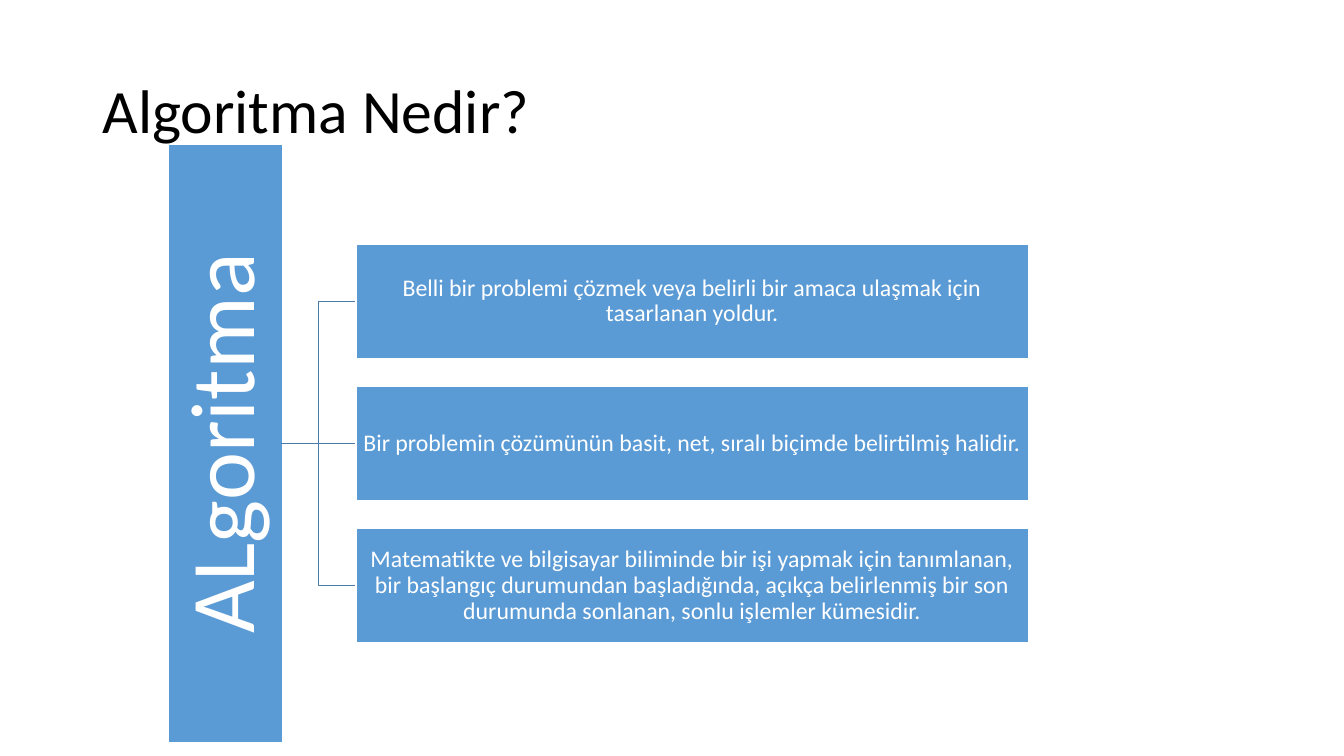
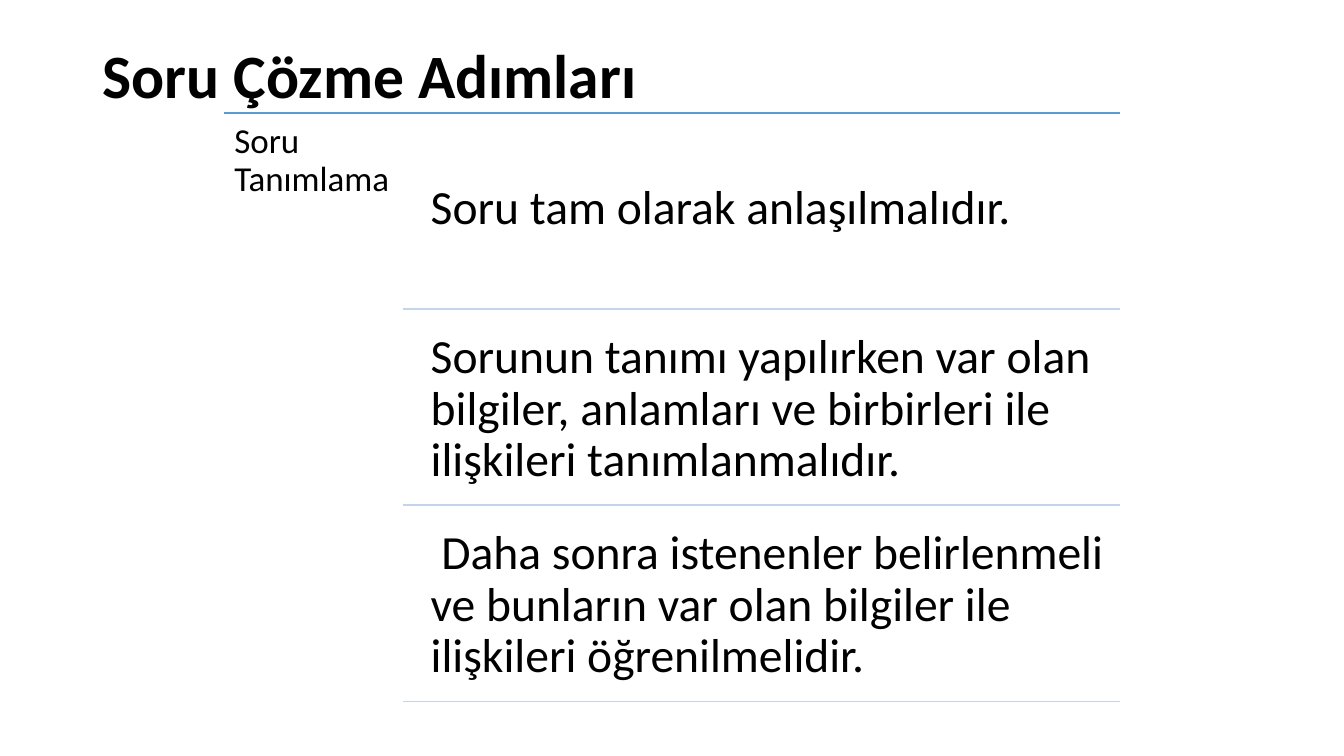
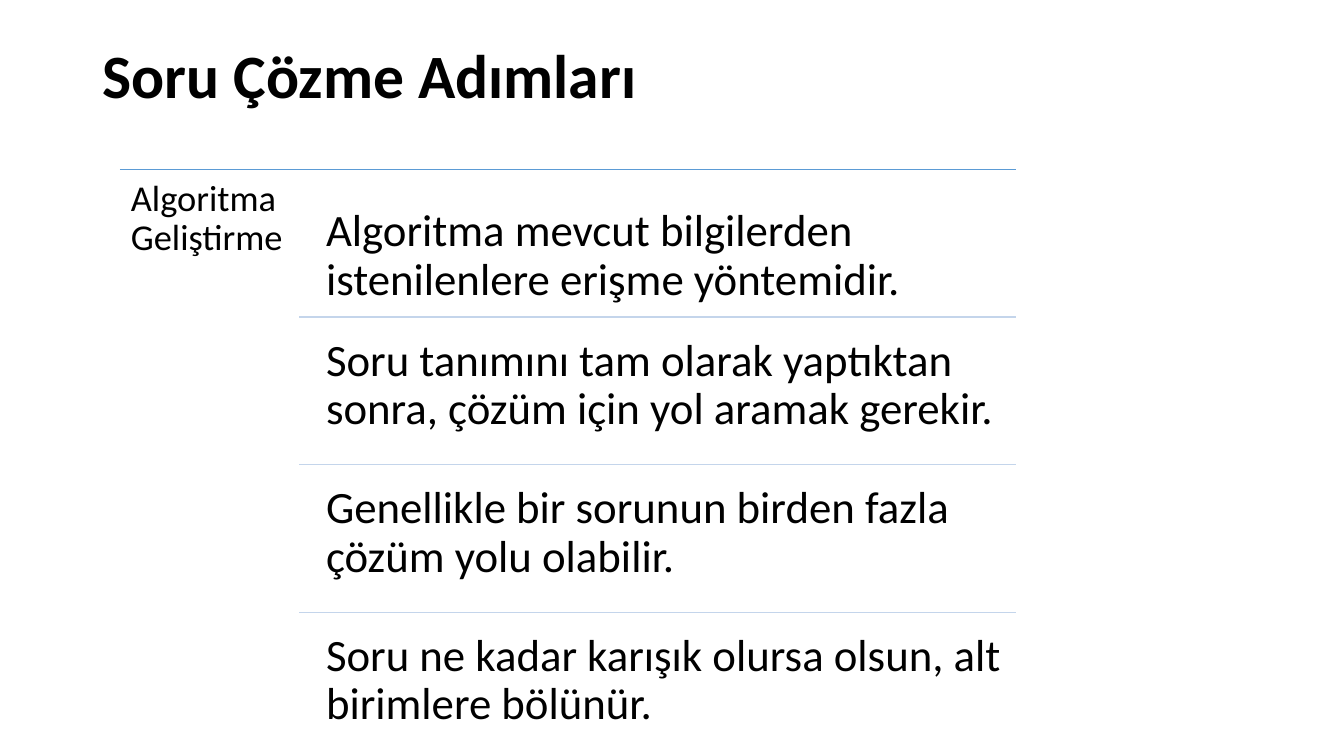
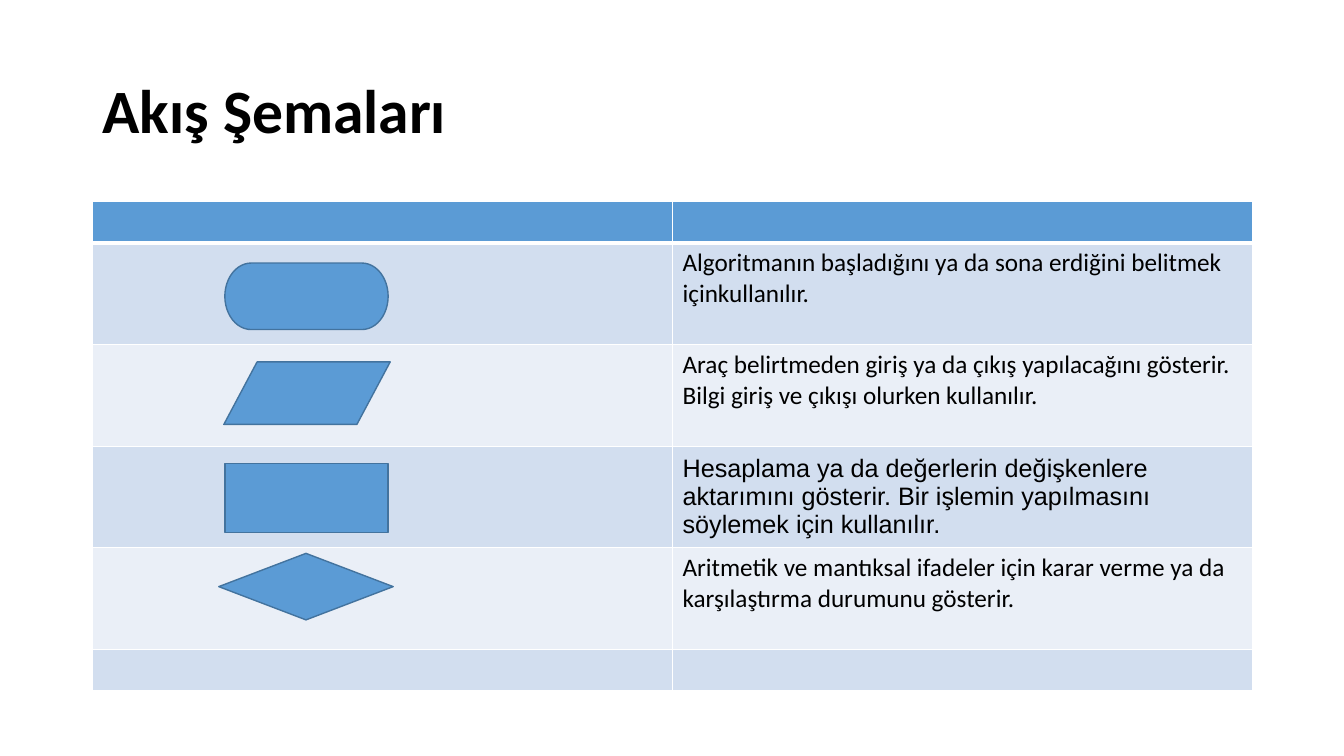
from lxml import etree
from pptx import Presentation
from pptx.dml.color import RGBColor
from pptx.enum.shapes import MSO_CONNECTOR as CONN, MSO_SHAPE as SHAPE
from pptx.enum.text import MSO_ANCHOR as ANCHOR, PP_ALIGN as ALIGN
from pptx.oxml.ns import qn
from pptx.util import Inches, Pt

COLORS = {
    "text": "000000",
    "white": "FFFFFF",
    "accent": "5B9BD5",
    "branch": "497CAB",
    "rule": "C4D5EB",
    "outline": "43739E",
    "band_dark": "D2DEEF",
    "band_light": "EAEFF7",
}
FONT = "Calibri"


def rgb(name):
    return RGBColor.from_string(COLORS[name])


class Deck:
    def __init__(self):
        self.prs = Presentation()
        self.prs.slide_width = Inches(13.33)
        self.prs.slide_height = Inches(7.5)
        self.s = None

    def slide(self, title, bold=True, anchor=ANCHOR.MIDDLE):
        self.s = self.prs.slides.add_slide(self.prs.slide_layouts[6])
        tf = self.text(0.92, 0.4, 11.5, 1.45, title, 44)
        tf.vertical_anchor = anchor
        tf.paragraphs[0].font.bold = bold

    def set_text(self, tf, text, size, color="text", font=FONT, spacing=0.9):
        p = tf.paragraphs[0]
        p.text = text
        p.line_spacing = spacing
        p.font.size = Pt(size)
        p.font.name = font
        p.font.color.rgb = rgb(color)
        return p

    def inset(self, tf, margin):
        tf.margin_left = tf.margin_right = margin
        tf.margin_top = tf.margin_bottom = margin

    def text(self, x, y, w, h, text, size):
        sp = self.s.shapes.add_textbox(Inches(x), Inches(y), Inches(w), Inches(h))
        tf = sp.text_frame
        tf.word_wrap = True
        self.set_text(tf, text, size)
        return tf

    def shape(self, kind, x, y, w, h, line="outline"):
        sp = self.s.shapes.add_shape(kind, Inches(x), Inches(y), Inches(w), Inches(h))
        sp.shadow.inherit = False
        sp.fill.solid()
        sp.fill.fore_color.rgb = rgb("accent")
        sp.line.color.rgb = rgb(line)
        sp.line.width = Pt(1)
        return sp

    def box(self, x, y, w, h, text, size, margin, rotation=0):
        sp = self.shape(SHAPE.RECTANGLE, x, y, w, h, "white")
        sp.rotation = rotation
        tf = sp.text_frame
        tf.word_wrap = True
        tf.vertical_anchor = ANCHOR.MIDDLE
        self.inset(tf, Inches(margin))
        self.set_text(tf, text, size, "white").alignment = ALIGN.CENTER

    def line(self, x1, y1, x2, y2, color, kind=CONN.STRAIGHT):
        c = self.s.shapes.add_connector(kind, Inches(x1), Inches(y1), Inches(x2), Inches(y2))
        c.line.color.rgb = rgb(color)
        c.line.width = Pt(1)
        etree.SubElement(c._element.spPr, qn("a:effectLst"))

    def steps(self, left, top, label, label_size, items, size, first_drop):
        height, label_w, width = 5.93, 1.78, 8.89
        item_h = height / (len(items) * 1.05 + 0.05)
        gap = item_h * 0.05
        pitch = item_h + gap
        right = left + width
        body = left + label_w
        self.line(left, top, right, top, "accent")
        tf = self.text(left, top, label_w, height, label, label_size)
        self.inset(tf, Pt(label_size * 0.3))
        for i, item in enumerate(items):
            y = top + gap + i * pitch
            drop = 0 if i else first_drop
            tf = self.text(body + 0.13, y + drop, width - label_w - 0.13, item_h, item, size)
            self.inset(tf, Pt(size * 0.3))
            rule_y = top + (i + 1) * pitch
            if rule_y < 7.5:
                self.line(body, rule_y, right, rule_y, "rule")

    def border(self, cell, header):
        tc_pr = cell._tc.get_or_add_tcPr()
        for side in "LRTB":
            width = Pt(3 if header and side == "B" else 1)
            ln = etree.SubElement(tc_pr, qn(f"a:ln{side}"), w=str(int(width)))
            fill = etree.SubElement(ln, qn("a:solidFill"))
            etree.SubElement(fill, qn("a:srgbClr"), val=COLORS["white"])

    def table(self, x, y, w, rows):
        heights = [h for h, _, _ in rows]
        frame = self.s.shapes.add_table(
            len(rows), 2, Inches(x), Inches(y), Inches(w), Inches(sum(heights)))
        table = frame.table
        for i, (height, text, font) in enumerate(rows):
            table.rows[i].height = Inches(height)
            band = "band_dark" if i % 2 else "band_light"
            for cell in table.rows[i].cells:
                self.border(cell, i == 0)
                cell.fill.solid()
                cell.fill.fore_color.rgb = rgb(band if i else "accent")
            if text:
                cell = table.cell(i, 1)
                self.set_text(cell.text_frame, text, 18, font=font, spacing=1.0)
                if font != FONT:
                    cell.vertical_anchor = ANCHOR.MIDDLE


def definition_slide(deck):
    deck.slide("Algoritma Nedir?", bold=False)
    definitions = [
        "Belli bir problemi çözmek veya belirli bir amaca ulaşmak için tasarlanan yoldur.",
        "Bir problemin çözümünün basit, net, sıralı biçimde belirtilmiş halidir.",
        "Matematikte ve bilgisayar biliminde bir işi yapmak için tanımlanan, "
        "bir başlangıç durumundan başladığında, açıkça belirlenmiş bir son "
        "durumunda sonlanan, sonlu işlemler kümesidir.",
    ]
    box_h, pitch, middle = 1.13, 1.41, 4.4
    deck.box(-0.73, middle - box_h / 2, 5.93, box_h, "ALgoritma", 65, 0.05, 270)
    for i, definition in enumerate(definitions):
        y = middle + (i - 1) * pitch
        kind = CONN.STRAIGHT if i == 1 else CONN.ELBOW
        deck.line(2.79, middle, 3.53, y, "branch", kind)
        deck.box(3.53, y - box_h / 2, 6.67, box_h, definition, 17, 0.01)


def problem_slide(deck):
    deck.slide("Soru Çözme Adımları", anchor=ANCHOR.TOP)
    deck.steps(2.22, 1.12, "Soru Tanımlama", 25, [
        "Soru tam olarak anlaşılmalıdır.",
        "Sorunun tanımı yapılırken var olan bilgiler, anlamları ve birbirleri ile "
        "ilişkileri tanımlanmalıdır.",
        " Daha sonra istenenler belirlenmeli ve bunların var olan bilgiler ile "
        "ilişkileri öğrenilmelidir.",
    ], 34, 0.46)


def development_slide(deck):
    deck.slide("Soru Çözme Adımları", anchor=ANCHOR.TOP)
    deck.steps(1.19, 1.68, "Algoritma Geliştirme", 26, [
        "Algoritma mevcut bilgilerden istenilenlere erişme yöntemidir.",
        "Soru tanımını tam olarak yaptıktan sonra, çözüm için yol aramak gerekir.",
        "Genellikle bir sorunun birden fazla çözüm yolu olabilir.",
        "Soru ne kadar karışık olursa olsun, alt birimlere bölünür.",
    ], 32, 0.18)


def flowchart_slide(deck):
    deck.slide("Akış Şemaları")
    deck.table(0.92, 2, 11.5, [
        (0.41, "", FONT),
        (1.01, "Algoritmanın başladığını ya da sona erdiğini belitmek içinkullanılır.", FONT),
        (1.01, "Araç belirtmeden giriş ya da çıkış yapılacağını gösterir. "
               "Bilgi giriş ve çıkışı olurken kullanılır.", FONT),
        (0.96, "Hesaplama ya da değerlerin değişkenlere aktarımını gösterir. "
               "Bir işlemin yapılmasını söylemek için kullanılır.", "Arial"),
        (1.01, "Aritmetik ve mantıksal ifadeler için karar verme ya da "
               "karşılaştırma durumunu gösterir.", FONT),
        (0.41, "", FONT),
    ])
    for kind, x, y, w, h in [
        (SHAPE.FLOWCHART_TERMINATOR, 2.23, 2.61, 1.62, 0.66),
        (SHAPE.FLOWCHART_PROCESS, 2.23, 4.6, 1.62, 0.68),
        (SHAPE.FLOWCHART_DECISION, 2.17, 5.49, 1.73, 0.66),
        (SHAPE.FLOWCHART_DATA, 2.22, 3.59, 1.65, 0.62),
    ]:
        deck.shape(kind, x, y, w, h)


def main():
    deck = Deck()
    definition_slide(deck)
    problem_slide(deck)
    development_slide(deck)
    flowchart_slide(deck)
    deck.prs.save("out.pptx")


if __name__ == "__main__":
    main()
